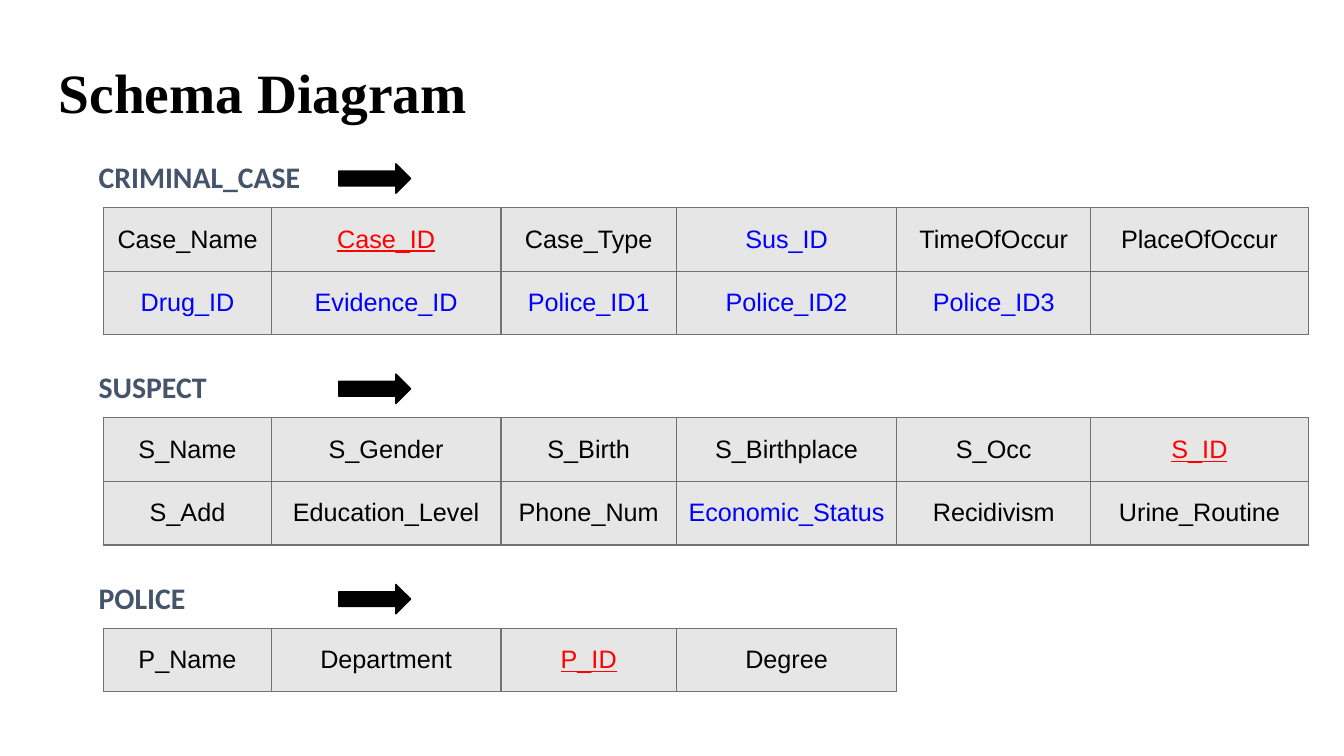
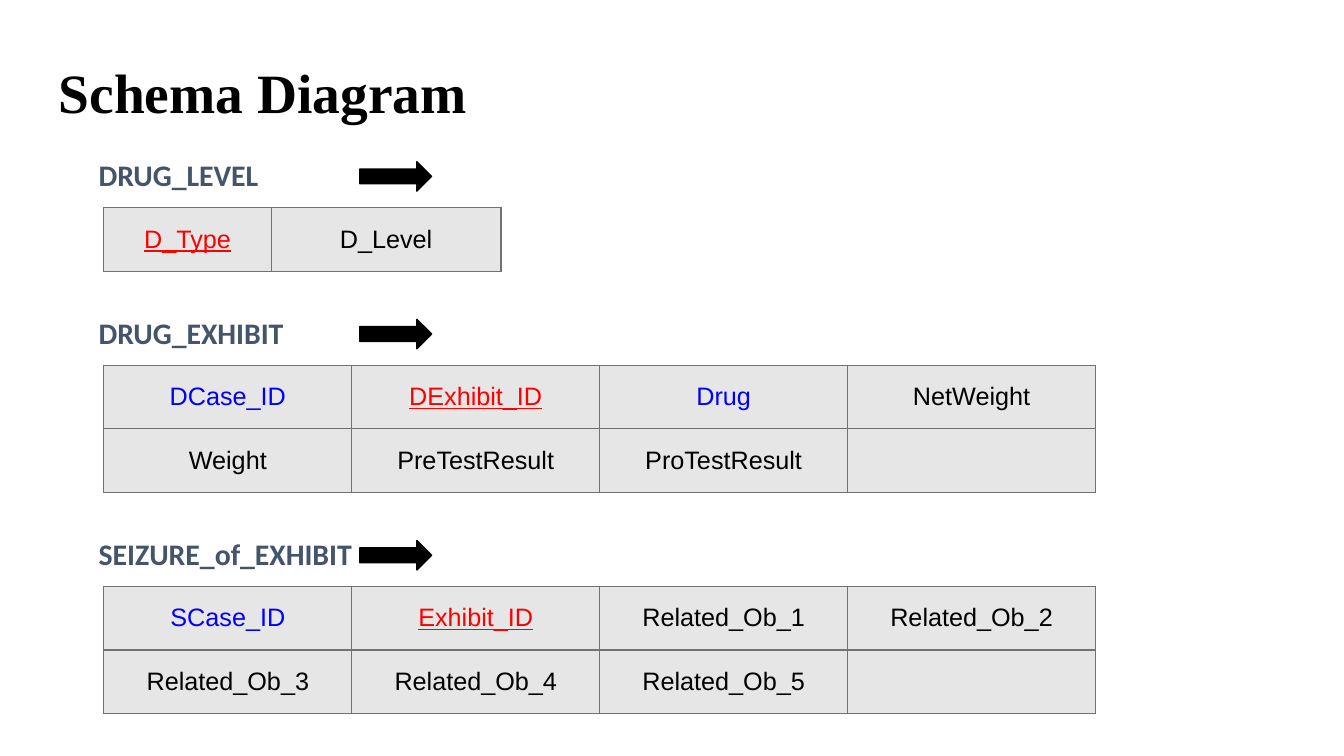
from lxml import etree
from pptx import Presentation
from pptx.dml.color import RGBColor
from pptx.enum.shapes import MSO_SHAPE
from pptx.enum.text import MSO_ANCHOR, MSO_AUTO_SIZE, PP_ALIGN
from pptx.oxml.ns import qn
from pptx.util import Pt

RIGHT_ARROW = MSO_SHAPE.RIGHT_ARROW
MIDDLE = MSO_ANCHOR.MIDDLE
NO_AUTOFIT = MSO_AUTO_SIZE.NONE
LEFT, CENTER = PP_ALIGN.LEFT, PP_ALIGN.CENTER

# Content: each slide lists its relations as (name, column widths, rows)
TITLE = "Schema Diagram"
WIDE = [119.5, 164.2, 125.3, 157.4, 138.6, 155.3]
EVEN = [177.1] * 4
SLIDES = [
    {
        "gap": 59.4, "label_rise": 36.5, "arrow_left": 242,
        "relations": [
            ("CRIMINAL_CASE", WIDE, [
                ["Case_Name", "Case_ID", "Case_Type", "Sus_ID", "TimeOfOccur", "PlaceOfOccur"],
                ["Drug_ID", "Evidence_ID", "Police_ID1", "Police_ID2", "Police_ID3", ""],
            ]),
            ("SUSPECT", WIDE, [
                ["S_Name", "S_Gender", "S_Birth", "S_Birthplace", "S_Occ", "S_ID"],
                ["S_Add", "Education_Level", "Phone_Num", "Economic_Status",
                 "Recidivism", "Urine_Routine"],
            ]),
            ("POLICE", WIDE, [["P_Name", "Department", "P_ID", "Degree"]]),
        ],
    },
    {
        "gap": 67.2, "label_rise": 38, "arrow_left": 257,
        "relations": [
            ("DRUG_LEVEL", WIDE, [["D_Type", "D_Level"]]),
            ("DRUG_EXHIBIT", EVEN, [
                ["DCase_ID", "DExhibit_ID", "Drug", "NetWeight"],
                ["Weight", "PreTestResult", "ProTestResult", ""],
            ]),
            ("SEIZURE_of_EXHIBIT", EVEN, [
                ["SCase_ID", "Exhibit_ID", "Related_Ob_1", "Related_Ob_2"],
                ["Related_Ob_3", "Related_Ob_4", "Related_Ob_5", ""],
            ]),
        ],
    },
]
PRIMARY_KEYS = {"Case_ID", "S_ID", "P_ID", "D_Type", "DExhibit_ID", "Exhibit_ID"}
FOREIGN_KEYS = {"Sus_ID", "Drug_ID", "Evidence_ID", "Police_ID1", "Police_ID2",
                "Police_ID3", "Economic_Status", "DCase_ID", "Drug", "SCase_ID"}

# Shared style and measures, in points
BLACK = RGBColor(0x00, 0x00, 0x00)
RED = RGBColor(0xFF, 0x00, 0x00)
BLUE = RGBColor(0x00, 0x00, 0xFF)
SLATE = RGBColor(0x44, 0x54, 0x6A)
CELL_FILL = RGBColor(0xE7, 0xE6, 0xE6)
BORDER = RGBColor(0x76, 0x71, 0x71)
TABLE_LEFT, FIRST_TOP, ROW_HEIGHT = 74.2, 148.3, 45.4
LABEL_LEFT, LABEL_WIDTH, LABEL_HEIGHT = 63.4, 215, 31.7
ARROW_WIDTH, ARROW_HEIGHT, ARROW_DROP = 51.3, 21, 5.2


def set_insets(target, size):
    for side in ("left", "top", "right", "bottom"):
        setattr(target, f"margin_{side}", Pt(size))


def style_text(para, font, size, color, bold=False, align=LEFT, spacing=None):
    para.alignment = align
    if spacing:
        para.line_spacing = spacing
    for span in para.runs:
        span.font.name = font
        span.font.size = Pt(size)
        span.font.color.rgb = color
        span.font.bold = bold


def add_title(page):
    title = page.shapes.title
    title.left, title.top, title.width, title.height = Pt(32.4), Pt(38.2), Pt(894.2), Pt(60.5)
    frame = title.text_frame
    frame.text = TITLE
    frame.auto_size = NO_AUTOFIT
    frame.vertical_anchor = MIDDLE
    set_insets(frame, 9.6)
    style_text(frame.paragraphs[0], "Times New Roman", 39.6, BLACK, bold=True, spacing=0.9)


def add_label(page, name, top):
    box = page.shapes.add_textbox(Pt(LABEL_LEFT), Pt(top), Pt(LABEL_WIDTH), Pt(LABEL_HEIGHT))
    box.text_frame.word_wrap = True
    box.text_frame.text = name
    style_text(box.text_frame.paragraphs[0], "Calibri", 21.3, SLATE, bold=True, spacing=0.95)


def add_arrow(page, left, top):
    arrow = page.shapes.add_shape(RIGHT_ARROW, Pt(left), Pt(top), Pt(ARROW_WIDTH), Pt(ARROW_HEIGHT))
    arrow.shadow.inherit = False
    arrow.fill.solid()
    arrow.fill.fore_color.rgb = BLACK
    arrow.line.color.rgb = BLACK
    arrow.line.width = Pt(1)


def add_borders(cell):
    properties = cell._tc.get_or_add_tcPr()
    for position, side in enumerate(("lnL", "lnR", "lnT", "lnB")):
        line = etree.Element(qn(f"a:{side}"), w=str(Pt(1)))
        fill = etree.SubElement(line, qn("a:solidFill"))
        etree.SubElement(fill, qn("a:srgbClr"), val=str(BORDER))
        properties.insert(position, line)


def fill_cell(cell, name):
    cell.fill.solid()
    cell.fill.fore_color.rgb = CELL_FILL
    cell.vertical_anchor = MIDDLE
    set_insets(cell, 7.2)
    add_borders(cell)
    if not name:
        return
    cell.text_frame.text = name
    para = cell.text_frame.paragraphs[0]
    color = RED if name in PRIMARY_KEYS else BLUE if name in FOREIGN_KEYS else BLACK
    style_text(para, "Arial", 18, color, align=CENTER)
    if name in PRIMARY_KEYS:
        para.runs[0].font.underline = True


def add_relation_table(page, rows, widths, top):
    widths = widths[:len(rows[0])]
    table = page.shapes.add_table(
        len(rows), len(widths), Pt(TABLE_LEFT), Pt(top),
        Pt(sum(widths)), Pt(ROW_HEIGHT * len(rows))).table
    table.first_row = table.horz_banding = False
    for column, width in zip(table.columns, widths):
        column.width = Pt(width)
    for row, names in zip(table.rows, rows):
        row.height = Pt(ROW_HEIGHT)
        for cell, name in zip(row.cells, names):
            fill_cell(cell, name)


def main():
    deck = Presentation()
    deck.slide_width, deck.slide_height = Pt(960), Pt(540)
    title_only = deck.slide_layouts[5]
    for content in SLIDES:
        page = deck.slides.add_slide(title_only)
        add_title(page)
        # Stack the relations with an equal gap between them
        top = FIRST_TOP
        for name, widths, rows in content["relations"]:
            label_top = top - content["label_rise"]
            add_relation_table(page, rows, widths, top)
            add_label(page, name, label_top)
            add_arrow(page, content["arrow_left"], label_top + ARROW_DROP)
            top += ROW_HEIGHT * len(rows) + content["gap"]
    deck.save("out.pptx")


if __name__ == "__main__":
    main()
